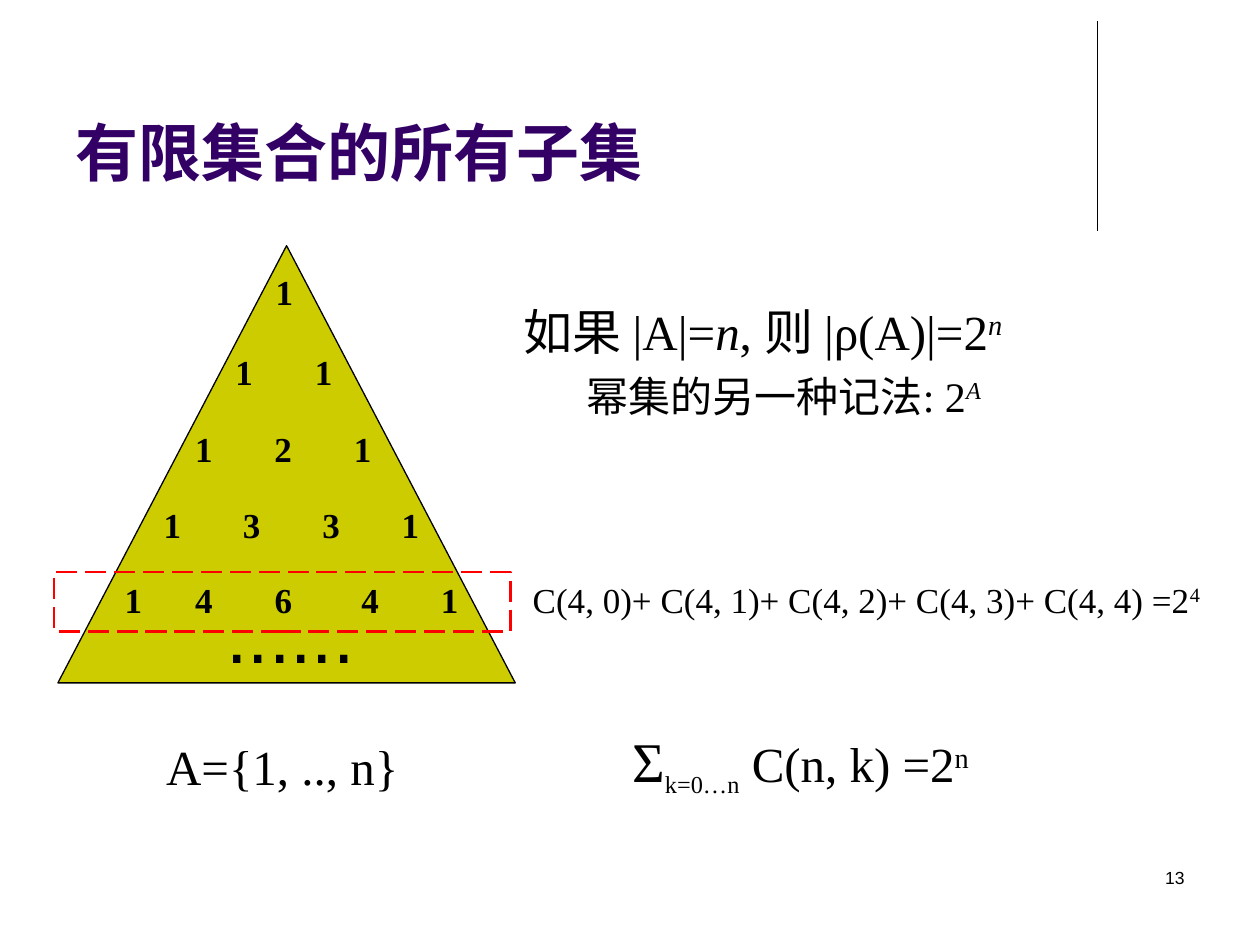
from lxml.etree import SubElement
from pptx import Presentation
from pptx.dml.color import RGBColor
from pptx.enum.dml import MSO_LINE
from pptx.enum.shapes import MSO_CONNECTOR, MSO_SHAPE
from pptx.enum.text import MSO_ANCHOR, PP_ALIGN
from pptx.oxml.ns import qn
from pptx.util import Inches, Pt

THEME = {
    "ink": "000000", "title": "330066", "gold": "CCCC00", "mark": "FF0000",
    "sans": "Arial", "serif": "Times New Roman",
    "head": 36, "dots": 44, "sigma": 32, "big": 28, "mid": 24, "small": 20, "page": 10,
}

# Content
TITLE = "有限集合的所有子集"
PAGE = "13"
# Pascal rows: left, top, width, height, numbers, steps between them
STEP = 0.63
ROWS = [
    (2.09, 2.1, 0.63, 0.44, "1", []),
    (1.77, 2.73, 1.1, 0.44, "11", [STEP]),
    (1.45, 3.34, 1.81, 0.44, "121", [STEP] * 2),
    (1.2, 3.95, 2.36, 0.44, "1331", [STEP] * 3),
    (0.89, 4.54, 2.99, 0.44, "14641", [0.56, STEP, 0.69, STEP]),
]
DOTS = ((1.7, 4.61, 1.81, 0.84), "......")
# Formulas: place, line spacing, paragraphs of (text, size, style) runs
SUP, SUB, ITAL = {"base": 30}, {"base": -25}, {"italic": True}
POWER = {**SUP, **ITAL}
NOTES = [
    ((1.22, 5.8, 2.2, 0.57), 1, [[("A={1, .., n}", "big", {})]]),
    ((4.92, 5.72, 3.5, 0.64), 1, [[
        ("Σ", "sigma", {}), ("k=0…n", "mid", SUB),
        (" C(n, k) =2", "big", {}), ("n", "big", SUP)]]),
    ((4.13, 4.54, 5.63, 0.44), 1, [[
        ("C(4, 0)+ C(4, 1)+ C(4, 2)+ C(4, 3)+ C(4, 4) =2", "small", {}),
        ("4", "small", SUP)]]),
    ((4.06, 2.25, 5, 1.15), 1.2, [
        [("如果 |A|=", "big", {}), ("n", "big", ITAL),
         (", 则 |ρ(A)|=2", "big", {}), ("n", "big", POWER)],
        [("幂集的另一种记法: 2", "mid", {}), ("A", "mid", POWER)]]),
]


def rgb(name):
    return RGBColor.from_string(THEME[name])


def place(box):
    return [Inches(v) for v in box]


def write(para, text, size, face="serif", color="ink", base=0, **style):
    run = para.add_run()
    run.text = text
    look = {"size": Pt(THEME[size]), "name": THEME[face], **style}
    for key, value in look.items():
        setattr(run.font, key, value)
    run.font.color.rgb = rgb(color)
    if base:
        run._r.get_or_add_rPr().set("baseline", str(base * 1000))


def frame(home, box):
    text = home.add_textbox(*place(box)).text_frame
    text.word_wrap = True
    return text


def outline(home, kind, box, color, width, fill=None):
    shape = home.add_shape(kind, *place(box))
    shape.shadow.inherit = False
    shape.line.color.rgb = rgb(color)
    shape.line.width = Pt(width)
    if fill:
        shape.fill.solid()
        shape.fill.fore_color.rgb = rgb(fill)
    else:
        shape.fill.background()
    return shape


def set_tabs(para, steps):
    tabs = SubElement(para._p.get_or_add_pPr(), qn("a:tabLst"))
    for i in range(len(steps)):
        SubElement(tabs, qn("a:tab"), pos=str(Inches(sum(steps[:i + 1]))), algn="l")


deck = Presentation()
deck.slide_width, deck.slide_height = Inches(10), Inches(7.5)
slide = deck.slides.add_slide(deck.slide_layouts[5])
shapes = slide.shapes

# Rule at the top right
rule = shapes.add_connector(MSO_CONNECTOR.STRAIGHT, *place((8.71, 0.17, 8.71, 1.83)))
rule.line.color.rgb = rgb("ink")
rule.line.width = Pt(0.75)
SubElement(rule._element.spPr, qn("a:effectLst"))

# Title
title = shapes.title
title.left, title.top, title.width, title.height = place((0.5, 0.13, 8.25, 1.42))
title.text_frame.vertical_anchor = MSO_ANCHOR.BOTTOM
head = title.text_frame.paragraphs[0]
head.alignment = PP_ALIGN.LEFT
write(head, TITLE, "head", "sans", "title", bold=True)

# Pascal triangle
group = shapes.add_group_shape().shapes
outline(group, MSO_SHAPE.ISOSCELES_TRIANGLE, (0.46, 1.95, 3.63, 3.47), "ink", 0.75, "gold")
for *box, digits, steps in ROWS:
    para = frame(group, box).paragraphs[0]
    if steps:
        set_tabs(para, steps)
    write(para, "\t".join(digits), "small", bold=True)
box, dots = DOTS
write(frame(group, box).paragraphs[0], dots, "dots", "sans")
mark = outline(group, MSO_SHAPE.RECTANGLE, (0.43, 4.54, 3.62, 0.47), "mark", 1.5)
mark.line.dash_style = MSO_LINE.LONG_DASH

# Formulas
for box, space, paras in NOTES:
    text = frame(shapes, box)
    for level, runs in enumerate(paras):
        para = text.add_paragraph() if level else text.paragraphs[0]
        para.line_spacing = space
        if level:
            para.level = level
            para._p.get_or_add_pPr().set("marL", str(Inches(0.5)))
        for words, size, style in runs:
            write(para, words, size, **style)

# Page number
foot = frame(shapes, (7.17, 6.83, 2.33, 0.5)).paragraphs[0]
foot.alignment = PP_ALIGN.RIGHT
write(foot, PAGE, "page", "sans")

deck.save("out.pptx")
